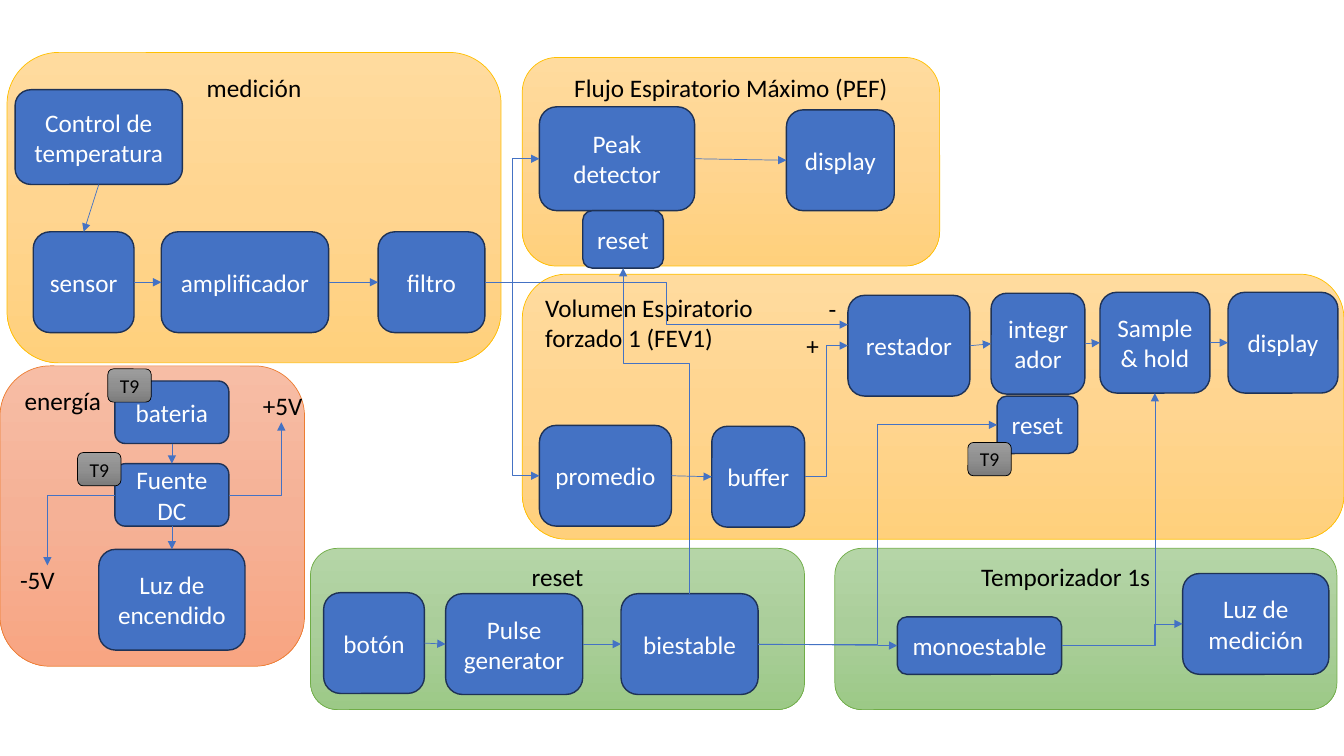
"""Build the block diagram slide of a spirometer."""
from copy import deepcopy

from pptx import Presentation
from pptx.dml.color import RGBColor
from pptx.enum.shapes import MSO_CONNECTOR, MSO_SHAPE
from pptx.enum.text import MSO_ANCHOR, MSO_AUTO_SIZE, PP_ALIGN
from pptx.oxml.ns import qn
from pptx.util import Inches, Pt
from lxml import etree

ROUND = MSO_SHAPE.ROUNDED_RECTANGLE
STRAIGHT, ELBOW = MSO_CONNECTOR.STRAIGHT, MSO_CONNECTOR.ELBOW
LEFT, CENTER = PP_ALIGN.LEFT, PP_ALIGN.CENTER
TOP, MIDDLE = MSO_ANCHOR.TOP, MSO_ANCHOR.MIDDLE
FIT = MSO_AUTO_SIZE.SHAPE_TO_FIT_TEXT
NORTH, WEST, SOUTH, EAST = range(4)

SLIDE = (13.33, 7.5)
FONT = "Calibri"
BLUE, NAVY, WHITE, BLACK = "4472C4", "1E3256", "FFFFFF", "000000"
GREEN = (("B5D5A7", "AACE9A", "9CC987"), "70AD47")
ORANGE = (("F7BDA5", "F5B196", "F8A582"), "ED7D31")
YELLOW = (("FFDB9E", "FFD590", "FFD07C"), "FFC000")
GRAY = (("9D9D9D", "909090", "7C7C7C"), BLACK)

# left, top, width, height, theme, alignment, right inset, label
PANELS = [
    (8.28, 5.44, 4.98, 1.6, GREEN, CENTER, 0.5, "Temporizador 1s"),
    (3.08, 5.44, 4.9, 1.6, GREEN, CENTER, 0.1, "reset"),
    (0, 3.63, 3.02, 2.98, ORANGE, LEFT, 0.1, "energía"),
    (5.18, 2.72, 8.15, 2.63, YELLOW, LEFT, 0.1, "Volumen Espiratorio\nforzado 1 (FEV1)"),
    (5.18, 0.57, 4.14, 2.07, YELLOW, CENTER, 0.1, "Flujo Espiratorio Máximo (PEF)"),
    (0.07, 0.52, 4.9, 3.08, YELLOW, CENTER, 0.1, "medición"),
]

# row top: (name, label, left, width, height)
ROWS = {
    0.89: [("control", "Control de temperatura", 0.15, 1.66, 0.94)],
    1.06: [("peak", "Peak detector", 5.35, 1.54, 1.03)],
    1.09: [("pef display", "display", 7.8, 1.07, 1)],
    2.09: [("peak reset", "reset", 5.78, 0.8, 0.57)],
    2.3: [("sensor", "sensor", 0.33, 1, 1),
          ("amplifier", "amplificador", 1.6, 1.66, 1),
          ("filter", "filtro", 3.75, 1.06, 1)],
    2.9: [("hold", "Sample & hold", 10.91, 1.09, 1),
          ("fev display", "display", 12.18, 1.09, 1)],
    2.91: [("integrator", "integrador", 9.83, 0.93, 1)],
    2.93: [("subtractor", "restador", 8.41, 1.21, 1)],
    3.78: [("battery", "bateria", 1.14, 1.13, 0.62)],
    3.93: [("integrator reset", "reset", 9.89, 0.8, 0.57)],
    4.22: [("average", "promedio", 5.35, 1.31, 1)],
    4.23: [("buffer", "buffer", 7.06, 0.92, 1)],
    4.6: [("supply", "Fuente DC", 1.14, 1.13, 0.62)],
    5.45: [("power light", "Luz de encendido", 0.98, 1.45, 1)],
    5.69: [("timer light", "Luz de medición", 11.73, 1.45, 1)],
    5.88: [("button", "botón", 3.21, 1, 1)],
    5.89: [("pulse", "Pulse generator", 4.42, 1.36, 1),
           ("bistable", "biestable", 6.16, 1.36, 1)],
    6.12: [("monostable", "monoestable", 8.9, 1.63, 0.57)],
}

CHAINS = [
    (("sensor", "amplifier", "filter"), EAST, WEST),
    (("peak", "pef display"), EAST, WEST),
    (("average", "buffer"), EAST, WEST),
    (("subtractor", "integrator", "hold", "fev display"), EAST, WEST),
    (("button", "pulse", "bistable", "monostable"), EAST, WEST),
    (("battery", "supply", "power light"), SOUTH, NORTH),
    (("control", "sensor"), SOUTH, NORTH),
]

# start, side, end (box name or point), side, share of the run before the bend
ELBOWS = [
    ("filter", EAST, "peak", WEST, 0.5),
    ("filter", EAST, "average", WEST, 0.5),
    ("filter", EAST, (8.41, 3.22), None, 0.5),
    ("buffer", EAST, "subtractor", WEST, 0.5),
    ("bistable", NORTH, "peak reset", SOUTH, 0.707),
    ("bistable", EAST, "integrator reset", WEST, 0.5),
    ("monostable", EAST, "timer light", WEST, 0.767),
    ("monostable", EAST, "hold", SOUTH, None),
    ("supply", EAST, (2.79, 4.19), None, None),
    ("supply", WEST, (0.47, 5.61), None, None),
]

SIGNS = [("-", 8.12, 2.86, 0.28), ("+", 7.9, 3.23, 0.33),
         ("+5V", 2.51, 3.82, 0.6), ("-5V", 0.1, 5.55, 0.55)]
BADGES = [(0.77, 4.49), (1.07, 3.66), (9.6, 4.39)]
BADGE_SIZE = (0.43, 0.33)


def rgb(value):
    return RGBColor.from_string(value)


def write(shape, text, size=18, color=BLACK, align=CENTER, anchor=MIDDLE, wrap=True):
    frame = shape.text_frame
    frame.word_wrap, frame.vertical_anchor = wrap, anchor
    frame.text = text
    for para in frame.paragraphs:
        para.alignment = align
        for span in para.runs:
            span.font.name, span.font.size = FONT, Pt(size)
            span.font.color.rgb = rgb(color)
    return frame


def add_box(page, area, fill, edge, weight):
    box = page.shapes.add_shape(ROUND, *map(Inches, area))
    box.shadow.inherit = False
    if isinstance(fill, str):
        box.fill.solid()
        box.fill.fore_color.rgb = rgb(fill)
    else:
        box.fill.gradient()
        box.fill.gradient_angle = 270
        stops = box.element.spPr.find(".//" + qn("a:gsLst"))
        stops.insert(1, deepcopy(stops[0]))
        for stop, color, position in zip(box.fill.gradient_stops, fill, (0, 0.5, 1)):
            stop.color.rgb, stop.position = rgb(color), position
    box.line.color.rgb, box.line.width = rgb(edge), Pt(weight)
    return box


def add_arrow(page, kind, start, start_side, end, end_side):
    target = (0, 0) if end_side is not None else map(Inches, end)
    arrow = page.shapes.add_connector(kind, 0, 0, *target)
    arrow.begin_connect(start, start_side)
    if end_side is not None:
        arrow.end_connect(end, end_side)
    arrow.line.color.rgb, arrow.line.width = rgb(BLUE), Pt(0.5)
    properties = arrow.element.spPr
    etree.SubElement(properties.find(qn("a:ln")), qn("a:tailEnd"), type="triangle")
    etree.SubElement(properties, qn("a:effectLst"))
    return arrow


def bend(arrow, share):
    geometry = arrow.element.spPr.find(qn("a:prstGeom"))
    if share is None:
        geometry.set("prst", "bentConnector2")
    elif share != 0.5:
        guides = geometry.find(qn("a:avLst"))
        etree.SubElement(guides, qn("a:gd"), name="adj1", fmla=f"val {round(share * 100000)}")


def turn_upward(arrow):
    width, height = arrow.width, arrow.height
    shift = (width - height) // 2
    arrow.left, arrow.top = arrow.left + shift, arrow.top - shift
    arrow.width, arrow.height = height, width
    frame = arrow.element.spPr.find(qn("a:xfrm"))
    for name, value in (("rot", "16200000"), ("flipH", "0"), ("flipV", "1")):
        frame.set(name, value)


def main():
    deck = Presentation()
    deck.slide_width, deck.slide_height = map(Inches, SLIDE)
    page = deck.slides.add_slide(deck.slide_layouts[6])
    for *area, (fill, edge), align, inset, label in PANELS:
        panel = add_box(page, area, fill, edge, 0.5)
        write(panel, label, align=align, anchor=TOP).margin_right = Inches(inset)
    boxes = {}
    for top, row in ROWS.items():
        for name, label, left, width, height in row:
            boxes[name] = add_box(page, (left, top, width, height), BLUE, NAVY, 1)
            write(boxes[name], label, color=WHITE)
    for names, start_side, end_side in CHAINS:
        for start, end in zip(names, names[1:]):
            add_arrow(page, STRAIGHT, boxes[start], start_side, boxes[end], end_side)
    for start, start_side, end, end_side, share in ELBOWS:
        arrow = add_arrow(page, ELBOW, boxes[start], start_side, boxes.get(end, end), end_side)
        bend(arrow, share)
        if start_side == NORTH:
            turn_upward(arrow)
    for label, left, top, width in SIGNS:
        sign = page.shapes.add_textbox(*map(Inches, (left, top, width, 0.4)))
        write(sign, label, align=LEFT, anchor=TOP, wrap=False).auto_size = FIT
    for corner in BADGES:
        badge = add_box(page, corner + BADGE_SIZE, *GRAY, 0.5)
        write(badge, "T9", size=14)
    deck.save("out.pptx")


if __name__ == "__main__":
    main()
